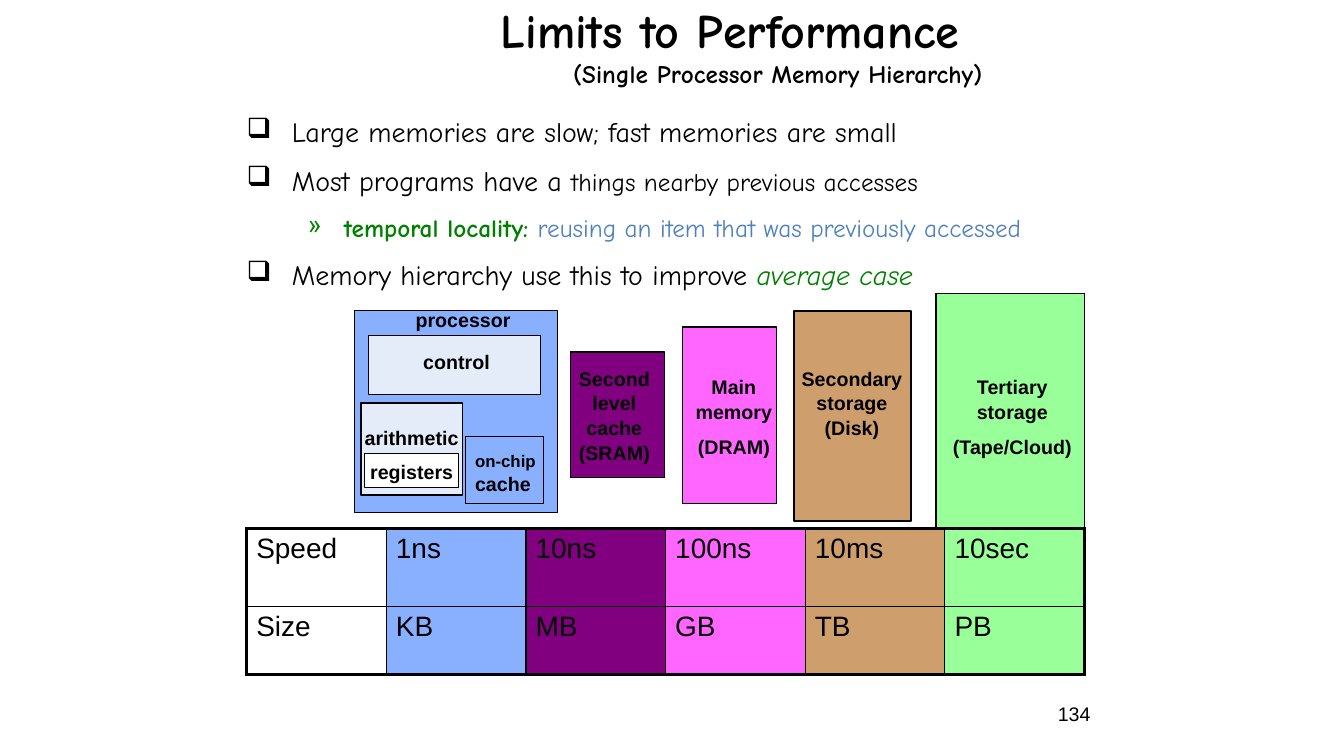
from lxml import etree
from pptx import Presentation
from pptx.dml.color import RGBColor
from pptx.enum.shapes import MSO_SHAPE
from pptx.enum.text import MSO_ANCHOR, MSO_AUTO_SIZE, PP_ALIGN
from pptx.oxml.ns import qn
from pptx.util import Pt

RECTANGLE = MSO_SHAPE.RECTANGLE
TOP, MIDDLE = MSO_ANCHOR.TOP, MSO_ANCHOR.MIDDLE
LEFT, CENTER, RIGHT = PP_ALIGN.LEFT, PP_ALIGN.CENTER, PP_ALIGN.RIGHT
NO_AUTOFIT = MSO_AUTO_SIZE.NONE

BLACK, WHITE, GREEN, STEEL = "000000", "FFFFFF", "008000", "4F81BD"
PROCESSOR, CACHE, MEMORY, DISK, TAPE = "89B0FF", "800080", "FF66FF", "CF9E6D", "99FF99"
UNIT = "E3ECF8"
HAND, SANS = "Comic Neue", "Arial"
LABEL_SIZE = 14.7


def rgb(value):
    """Turn a hex string into a colour."""
    return RGBColor.from_string(value)


def write(paragraph, text, size=LABEL_SIZE, font=SANS, color=BLACK, bold=False, italic=False):
    """Add one formatted run to a paragraph."""
    run = paragraph.add_run()
    run.text = text
    run.font.size = Pt(size)
    run.font.name = font
    run.font.bold = bold
    run.font.italic = italic
    run.font.color.rgb = rgb(color)


def set_frame(frame, anchor=TOP, wrap=True, side=7.2, edge=3.6):
    """Set anchor, wrapping and insets of a text frame."""
    frame.auto_size = NO_AUTOFIT
    frame.word_wrap = wrap
    frame.vertical_anchor = anchor
    frame.margin_left = frame.margin_right = Pt(side)
    frame.margin_top = frame.margin_bottom = Pt(edge)
    return frame


def paragraph_at(frame, index):
    """Return the first paragraph or append another one."""
    return frame.add_paragraph() if index else frame.paragraphs[0]


def add_frame(slide, box, **layout):
    """Add a text box and return its frame."""
    return set_frame(slide.shapes.add_textbox(*map(Pt, box)).text_frame, **layout)


def fill_labels(frame, paragraphs, align=LEFT):
    """Write bold diagram labels, given as lists of text and size."""
    for index, runs in enumerate(paragraphs):
        paragraph = paragraph_at(frame, index)
        paragraph.alignment = align
        paragraph.line_spacing = 1.05
        if index:
            paragraph.space_before = Pt(7.35)
        for text, size in runs:
            write(paragraph, text, size=size, bold=True)


def add_block(slide, box, fill=None, width=1):
    """Add a black-edged rectangle with an optional fill."""
    block = slide.shapes.add_shape(RECTANGLE, *map(Pt, box))
    block.shadow.inherit = False
    if fill:
        block.fill.solid()
        block.fill.fore_color.rgb = rgb(fill)
    else:
        block.fill.background()
    block.line.color.rgb = rgb(BLACK)
    block.line.width = Pt(width)
    return block


def add_title(slide):
    """Place the title and its smaller second line."""
    title = slide.shapes.title
    title.left, title.top, title.width, title.height = map(Pt, (165.6, 5.8, 764, 55.4))
    frame = set_frame(title.text_frame, anchor=MIDDLE, side=8.6, edge=4.3)
    lines = [("Limits to Performance", 36), ("(Single Processor Memory Hierarchy)", 18.9)]
    for index, (text, size) in enumerate(lines):
        paragraph = paragraph_at(frame, index)
        paragraph.alignment = CENTER
        write(paragraph, text, size=size, font=HAND, bold=True)
    frame.paragraphs[1]._p.get_or_add_pPr().set("marL", str(Pt(72)))


def add_bullets(slide):
    """Add the bulleted statements."""
    main, detail = ("❑", 34, -34, 5), ("»", 73, -27, 6)
    points = [
        (main, [("Large memories are slow; fast memories are small", {})]),
        (main, [("Most programs have a ", {}),
                ("things nearby previous accesses", {"size": 18.9})]),
        (detail, [("temporal locality: ", {"size": 18.9, "color": GREEN, "bold": True}),
                  ("reusing an item that was previously accessed",
                   {"size": 18.9, "color": STEEL})]),
        (main, [("Memory hierarchy use this to improve ", {}),
                ("average case", {"color": GREEN, "italic": True})]),
    ]
    frame = add_frame(slide, (176.4, 75.6, 661.7, 123), side=8.6, edge=4.3)
    for index, ((mark, margin, indent, gap), runs) in enumerate(points):
        paragraph = paragraph_at(frame, index)
        properties = paragraph._p.get_or_add_pPr()
        properties.set("marL", str(Pt(margin)))
        properties.set("indent", str(Pt(indent)))
        etree.SubElement(properties, qn("a:buChar")).set("char", mark)
        paragraph.line_spacing = 1.25
        if index:
            paragraph.space_before = Pt(gap)
        for text, style in runs:
            write(paragraph, text, **{"size": 21, "font": HAND, **style})


def add_processor(slide):
    """Draw the processor with its inner units."""
    add_block(slide, (265.7, 233.3, 152.6, 151.2), PROCESSOR)
    add_block(slide, (276.5, 252, 128.9, 43.9), UNIT)
    on_chip = add_frame(slide, (349.2, 334.1, 64.8, 40.3))
    fill_labels(on_chip, [[("on-chip ", 12.6), ("cache", LABEL_SIZE)]])
    add_block(slide, (349.2, 327.6, 58.3, 50.4))
    add_block(slide, (270.7, 302.4, 76.3, 69.1), UNIT)
    registers = add_block(slide, (273.6, 340.6, 70.6, 25.2), WHITE, 0.75)
    fill_labels(set_frame(registers.text_frame, side=4), [[("registers", LABEL_SIZE)]])
    units = [("arithmetic", (266.4, 315.4, 85.7, 25.2)),
             ("control", (310.3, 258.5, 64.8, 25.2)),
             ("processor", (304.6, 226.8, 86.4, 25.2))]
    for name, box in units:
        fill_labels(add_frame(slide, box, wrap=False), [[(name, LABEL_SIZE)]])


def add_memory_tiers(slide):
    """Draw the growing blocks of the outer memory levels."""
    tiers = [
        (CACHE, (427.7, 264.2, 70.6, 94.3), (421.2, 270.7, 79.2, 78.5),
         ["Second level cache (SRAM)"]),
        (MEMORY, (511.9, 245.5, 70.6, 132.5), (511.9, 277.2, 77, 69.8),
         ["Main memory", "(DRAM)"]),
        (DISK, (595.4, 233.3, 87.8, 157.7), (591.8, 270.7, 94.3, 60.5),
         ["Secondary storage (Disk)"]),
        (TAPE, (702, 220.3, 111.6, 176.4), (704.9, 277.2, 108.7, 69.8),
         ["Tertiary storage", "(Tape/Cloud)"]),
    ]
    for color, box, label_box, lines in tiers:
        add_block(slide, box, color)
        fill_labels(add_frame(slide, label_box),
                    [[(line, LABEL_SIZE)] for line in lines], CENTER)


def set_border(cell, side, width):
    """Give one side of a cell a black line."""
    line = etree.SubElement(cell._tc.get_or_add_tcPr(), qn(f"a:ln{side}"), w=str(Pt(width)))
    fill = etree.SubElement(line, qn("a:solidFill"))
    etree.SubElement(fill, qn("a:srgbClr"), val=BLACK)


def add_speed_table(slide):
    """Add the table of speed and size per level."""
    rows = [["Speed", "1ns", "10ns", "100ns", "10ms", "10sec"],
            ["Size", "KB", "MB", "GB", "TB", "PB"]]
    colors = [None, PROCESSOR, CACHE, MEMORY, DISK, TAPE]
    heights = [58.3, 51.1]
    last_row, last_column = len(rows) - 1, len(colors) - 1
    table = slide.shapes.add_table(len(rows), len(colors), Pt(185), Pt(396.7),
                                   Pt(628.6), Pt(sum(heights))).table
    table.first_row = table.horz_banding = False
    for r, values in enumerate(rows):
        table.rows[r].height = Pt(heights[r])
        for c, value in enumerate(values):
            cell = table.cell(r, c)
            outer = {"L": c == 0, "R": c == last_column, "T": r == 0, "B": r == last_row}
            for side, is_outer in outer.items():
                set_border(cell, side, 2.25 if is_outer else 1)
            if colors[c]:
                cell.fill.solid()
                cell.fill.fore_color.rgb = rgb(colors[c])
            else:
                cell.fill.background()
            write(cell.text_frame.paragraphs[0], value, size=21)


def add_page_number(slide):
    """Add the page number at the lower right."""
    frame = add_frame(slide, (668.2, 516.2, 157.7, 38.2), anchor=MIDDLE, side=7.9)
    frame.paragraphs[0].alignment = RIGHT
    write(frame.paragraphs[0], "134")


def main():
    """Build and save the slide."""
    deck = Presentation()
    deck.slide_width, deck.slide_height = Pt(1008), Pt(567.36)
    slide = deck.slides.add_slide(deck.slide_layouts[5])
    add_page_number(slide)
    add_title(slide)
    add_bullets(slide)
    add_processor(slide)
    add_memory_tiers(slide)
    add_speed_table(slide)
    deck.save("out.pptx")


if __name__ == "__main__":
    main()
